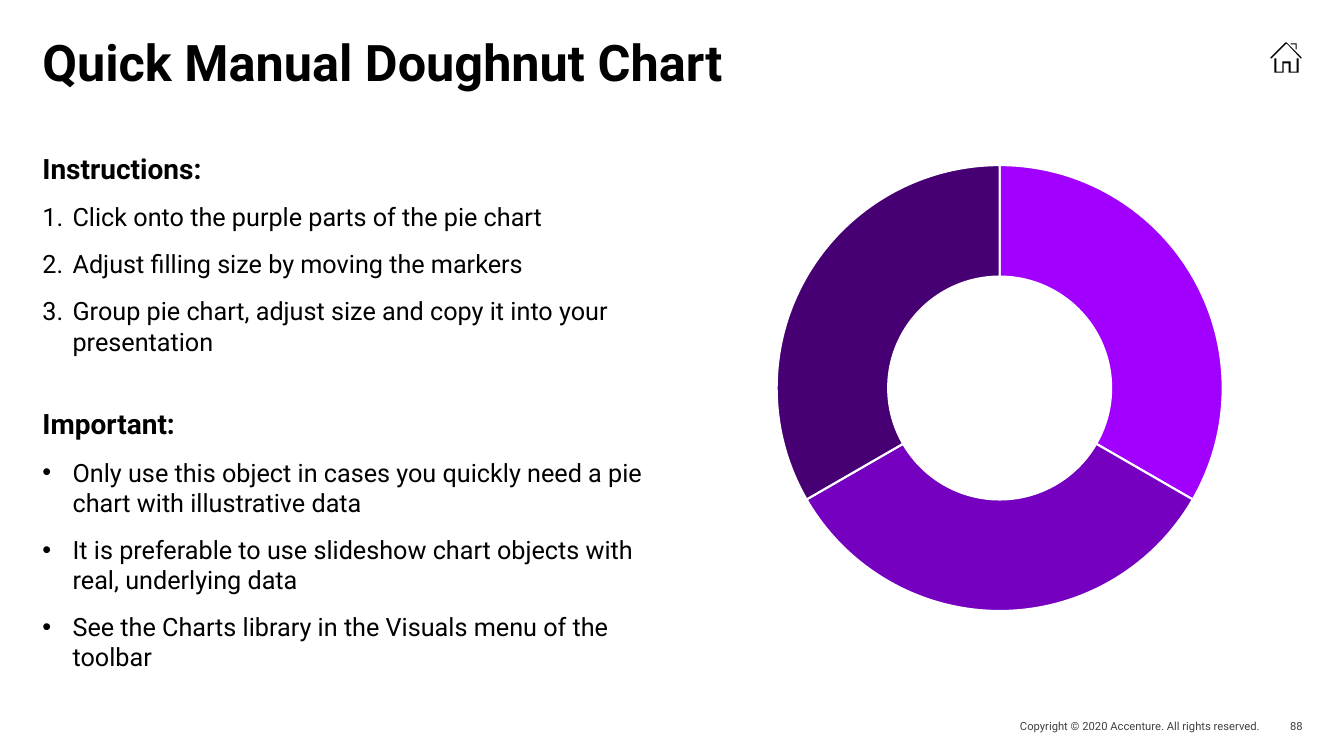
from dataclasses import dataclass

from lxml import etree
from pptx import Presentation
from pptx.chart.data import CategoryChartData
from pptx.dml.color import RGBColor
from pptx.enum.chart import XL_CHART_TYPE
from pptx.enum.text import MSO_ANCHOR, MSO_AUTO_SIZE, PP_ALIGN
from pptx.oxml.ns import qn
from pptx.util import Pt

EMU_PER_PX = 9144
FONT = "Roboto"
BLACK = "000000"
FOOTER_GRAY = "404040"
WHITE = "FFFFFF"
DOUGHNUT = XL_CHART_TYPE.DOUGHNUT
TOP, MIDDLE = MSO_ANCHOR.TOP, MSO_ANCHOR.MIDDLE
LEFT, RIGHT = PP_ALIGN.LEFT, PP_ALIGN.RIGHT
NO_AUTOFIT = MSO_AUTO_SIZE.NONE
SEGMENT_COLORS = ["A100FF", "7500C0", "460073"]
WALLS = [(1264, 58), (1266, 58), (1266, 71), (1272, 71), (1272, 61), (1280, 61),
         (1280, 71), (1286, 71), (1286, 58), (1288, 58), (1288, 72), (1278, 72),
         (1278, 63), (1273, 63), (1273, 72), (1264, 72)]
CHIMNEY = [(1280, 43), (1286, 43), (1286, 49), (1285, 49), (1285, 44), (1280, 44)]
ROOF = [(1260, 57), (1275, 42), (1276, 42), (1291, 57), (1291, 58),
        (1290, 58), (1276, 43), (1261, 58), (1260, 58)]


@dataclass
class Box:
    left: int
    top: int
    width: int
    height: int

    def emu(self) -> list[int]:
        return [px(n) for n in (self.left, self.top, self.width, self.height)]


@dataclass
class Section:
    heading: str
    bullet_tag: str
    bullet_attributes: dict[str, str]
    items: list[str]
    gap_after: int = 12


@dataclass
class FooterText:
    text: str
    box: Box


SECTIONS = [
    Section("Instructions:", "a:buAutoNum", {"type": "arabicPeriod"}, [
        "Click onto the purple parts of the pie chart",
        "Adjust filling size by moving the markers",
        "Group pie chart, adjust size and copy it into your presentation",
    ], gap_after=36),
    Section("Important:", "a:buChar", {"char": "•"}, [
        "Only use this object in cases you quickly need a pie chart with illustrative data",
        "It is preferable to use slideshow chart objects with real, underlying data",
        "See the Charts library in the Visuals menu of the toolbar",
    ]),
]
FOOTERS = [
    FooterText("Copyright © 2020 Accenture. All rights reserved.", Box(910, 709, 340, 22)),
    FooterText("88", Box(1250, 709, 42, 23)),
]


def px(length: int) -> int:
    return length * EMU_PER_PX


def color(value: str) -> RGBColor:
    return RGBColor.from_string(value)


def style_font(font, size: int, bold: bool = False, value: str = BLACK) -> None:
    font.name = FONT
    font.size = Pt(size)
    font.bold = bold
    font.color.rgb = color(value)


def place(shape, box: Box) -> None:
    shape.left, shape.top, shape.width, shape.height = box.emu()


def prepare_frame(frame, anchor) -> None:
    frame.word_wrap = True
    frame.auto_size = NO_AUTOFIT
    frame.vertical_anchor = anchor
    frame.margin_left = frame.margin_top = frame.margin_right = frame.margin_bottom = 0


def set_bullet(paragraph, tag: str, attributes: dict[str, str], indent: int) -> None:
    properties = paragraph._p.get_or_add_pPr()
    properties.set("marL", str(px(indent)))
    properties.set("indent", str(-px(indent)))
    etree.SubElement(properties, qn(tag), attributes)


def add_title(slide) -> None:
    title = slide.shapes.title
    place(title, Box(42, 42, 1250, 108))
    prepare_frame(title.text_frame, TOP)
    paragraph = title.text_frame.paragraphs[0]
    paragraph.text = "Quick Manual Doughnut Chart"
    paragraph.alignment = LEFT
    paragraph.line_spacing = 0.8
    style_font(paragraph.font, 36, bold=True)


def add_body(slide) -> None:
    body = slide.placeholders[1]
    place(body, Box(42, 150, 625, 540))
    frame = body.text_frame
    prepare_frame(frame, TOP)
    for number, section in enumerate(SECTIONS):
        heading = frame.add_paragraph() if number else frame.paragraphs[0]
        heading.text = section.heading
        heading.space_before, heading.space_after = Pt(0), Pt(12)
        set_bullet(heading, "a:buNone", {}, 0)
        style_font(heading.font, 20, bold=True)
        for text in section.items:
            item = frame.add_paragraph()
            item.text = text
            item.level = 1
            item.space_before, item.space_after = Pt(0), Pt(12)
            set_bullet(item, section.bullet_tag, section.bullet_attributes, 30)
            style_font(item.font, 18)
        item.space_after = Pt(section.gap_after)


def add_doughnut(slide) -> None:
    data = CategoryChartData()
    data.categories = ["1", "2", "3"]
    data.add_series("Series 1", [33, 33, 33])
    box = Box(704, 150, 575, 470)
    chart = slide.shapes.add_chart(DOUGHNUT, *box.emu(), data).chart
    chart.has_legend = False
    chart.has_title = False
    style_font(chart.font, 10)
    plot = chart.plots[0]
    plot.vary_by_categories = True
    plot._element.find(qn("c:holeSize")).set("val", "75")
    for number, value in enumerate(SEGMENT_COLORS):
        segment = plot.series[0].points[number].format
        segment.fill.solid()
        segment.fill.fore_color.rgb = color(value)
        segment.line.color.rgb = color(WHITE)
        segment.line.width = Pt(1.5)


def add_house(slide) -> None:
    builder = slide.shapes.build_freeform(*WALLS[0], scale=EMU_PER_PX)
    builder.add_line_segments(WALLS[1:])
    for outline in (CHIMNEY, ROOF):
        builder.move_to(*outline[0])
        builder.add_line_segments(outline[1:])
    house = builder.convert_to_shape()
    house.shadow.inherit = False
    house.fill.solid()
    house.fill.fore_color.rgb = color(BLACK)
    house.line.fill.background()


def add_footer(slide, footer: FooterText) -> None:
    frame = slide.shapes.add_textbox(*footer.box.emu()).text_frame
    prepare_frame(frame, MIDDLE)
    paragraph = frame.paragraphs[0]
    paragraph.text = footer.text
    paragraph.alignment = RIGHT
    style_font(paragraph.font, 8, value=FOOTER_GRAY)


def main() -> None:
    """Build the doughnut chart instruction slide."""
    presentation = Presentation()
    presentation.slide_width, presentation.slide_height = px(1333), px(750)
    slide = presentation.slides.add_slide(presentation.slide_layouts[1])
    add_title(slide)
    add_body(slide)
    add_doughnut(slide)
    add_house(slide)
    for footer in FOOTERS:
        add_footer(slide, footer)
    presentation.save("out.pptx")


if __name__ == "__main__":
    main()
